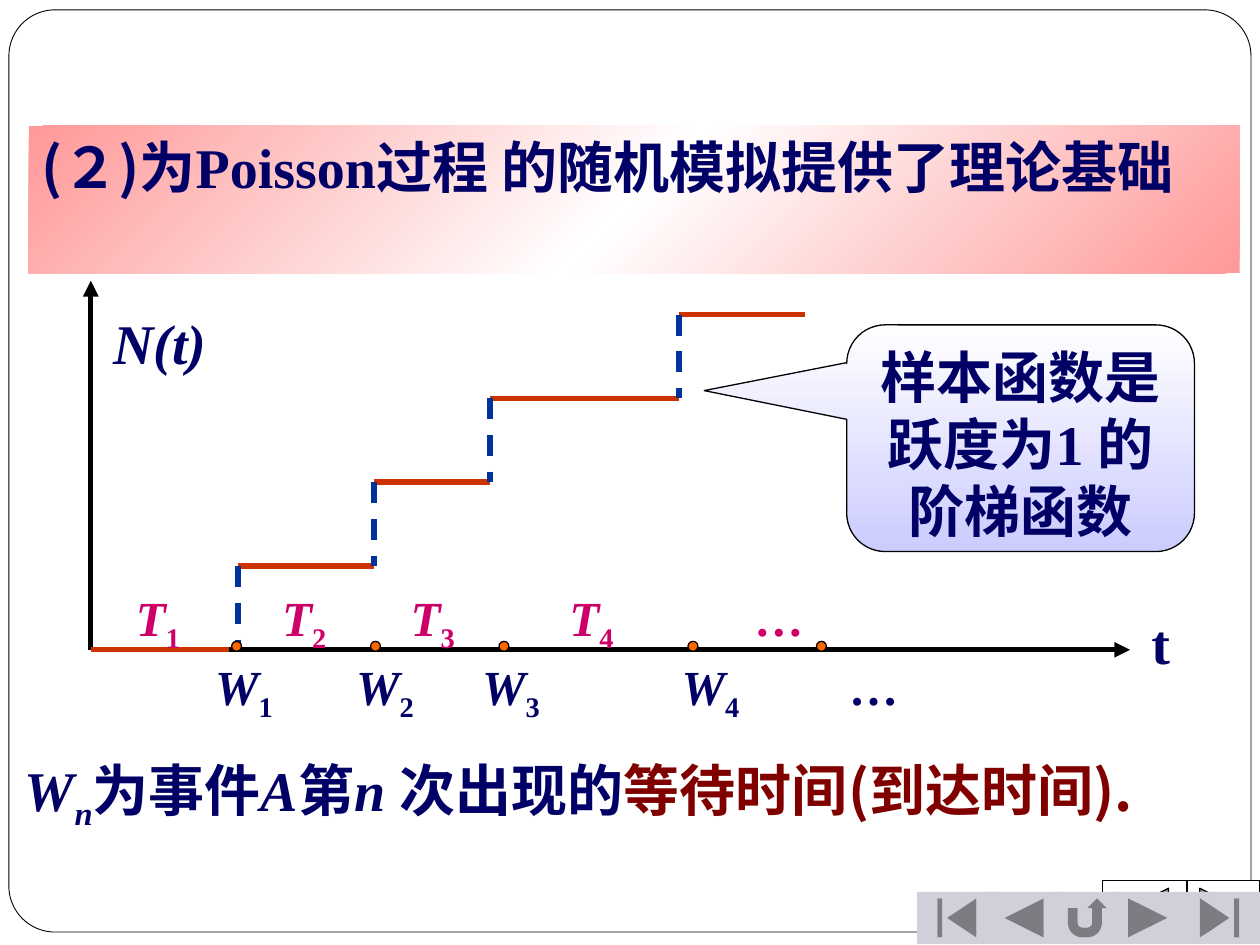
from lxml import etree
from pptx import Presentation
from pptx.dml.color import RGBColor
from pptx.enum.dml import MSO_LINE
from pptx.enum.shapes import MSO_CONNECTOR, MSO_SHAPE
from pptx.enum.text import MSO_AUTO_SIZE, PP_ALIGN
from pptx.oxml.ns import qn
from pptx.util import Cm, Pt

STRAIGHT = MSO_CONNECTOR.STRAIGHT
DASH = MSO_LINE.DASH
CENTER = PP_ALIGN.CENTER
RECTANGLE = MSO_SHAPE.RECTANGLE
ROUNDED = MSO_SHAPE.ROUNDED_RECTANGLE
CALLOUT = MSO_SHAPE.ROUNDED_RECTANGULAR_CALLOUT
OVAL = MSO_SHAPE.OVAL
FIRST = MSO_SHAPE.ACTION_BUTTON_BEGINNING
PREVIOUS = MSO_SHAPE.ACTION_BUTTON_BACK_OR_PREVIOUS
RETURN = MSO_SHAPE.ACTION_BUTTON_RETURN
NEXT = MSO_SHAPE.ACTION_BUTTON_FORWARD_OR_NEXT
LAST = MSO_SHAPE.ACTION_BUTTON_END

SERIF, SANS = "Times New Roman", "Noto Sans CJK SC"
NAVY, PINK, MAROON = "000066", "CC0066", "800000"
BLACK, WHITE, ORANGE, BLUE = "000000", "FFFFFF", "CC3300", "003399"

ITALIC = {"italic": True}
SUB = {"sub": True}
CJK = {"font": SANS}

TITLE = [("(２)为", CJK), ("Poisson过程 的随机模拟提供了理论基础", {})]
REMARK = [("样本函数是跃度为1 的阶梯函数", {})]
DEFINITION = [
    ("W", ITALIC), ("n", {"italic": True, "sub": True}), ("为事件", CJK),
    ("A", ITALIC), ("第", CJK), ("n ", ITALIC), ("次出现的", CJK),
    ("等待时间(到达时间).", {"font": SANS, "color": MAROON}),
]

ORIGIN_X, ORIGIN_Y = 1.83, 13.1
AXIS_RIGHT, AXIS_TOP = 22.78, 5.66
STEP_RISE = 1.69
JUMPS = [4.8, 7.54, 9.88, 13.69, 16.23]
DOTS = [4.67, 7.47, 10.06, 13.87, 16.46]
DOT_TOP, DOT_SIZE = 12.93, 0.2
LABEL_ROWS = [
    ("W", NAVY, 13.1, 1.68, [4.09, 6.93, 9.47, 13.49, 16.87]),
    ("T", PINK, 11.71, 1.4, [2.49, 5.44, 8.03, 11.23, 14.96]),
]
CORNER_BUTTONS = [(NEXT, 23.93, 1.47), (PREVIOUS, 22.23, 1.7)]
NAVIGATION = [(FIRST, 18.49, 1.6), (PREVIOUS, 19.91, 1.47), (RETURN, 21.23, 1.38),
              (NEXT, 22.5, 1.27), (LAST, 23.77, 1.63)]


def color(value):
    return RGBColor.from_string(value)


def add_shape(kind, left, top, width, height, fill=None, line=None, weight=0.75):
    shape = page.shapes.add_shape(kind, Cm(left), Cm(top), Cm(width), Cm(height))
    shape.shadow.inherit = False
    if fill:
        shape.fill.solid()
        shape.fill.fore_color.rgb = color(fill)
    if line:
        shape.line.color.rgb = color(line)
        shape.line.width = Pt(weight)
    else:
        shape.line.fill.background()
    return shape


def set_gradient(shape, stops, angle):
    shape.fill.gradient()
    gradient = shape._element.spPr.find(qn("a:gradFill"))
    stop_list = gradient.find(qn("a:gsLst"))
    for stop in list(stop_list):
        stop_list.remove(stop)
    for position, value in stops:
        stop = etree.SubElement(stop_list, qn("a:gs"), pos=str(position * 1000))
        etree.SubElement(stop, qn("a:srgbClr"), val=value)
    gradient.find(qn("a:lin")).set("ang", str(angle * 60000))


def add_line(x1, y1, x2, y2, value, dash=None, arrow=False):
    line = page.shapes.add_connector(STRAIGHT, Cm(x1), Cm(y1), Cm(x2), Cm(y2))
    line.line.color.rgb = color(value)
    line.line.width = Pt(3)
    if dash:
        line.line.dash_style = dash
    if arrow:
        etree.SubElement(line.line._get_or_add_ln(), qn("a:tailEnd"), type="triangle")
    etree.SubElement(line._element.spPr, qn("a:effectLst"))


def write(box, spans, size=32, value=NAVY, align=None, wrap=True):
    frame = box.text_frame
    frame.word_wrap = wrap
    frame.vertical_anchor = None
    para = frame.paragraphs[0]
    para.alignment = align
    para.font.size = Pt(size)
    para.font.bold = True
    for text, style in spans:
        span = para.add_run()
        span.text = text
        font = span.font
        font.name = style.get("font", SERIF)
        font.color.rgb = color(style.get("color", value))
        if style.get("italic"):
            font.italic = True
        properties = span._r.get_or_add_rPr()
        if style.get("sub"):
            properties.set("baseline", "-25000")
        etree.SubElement(properties, qn("a:ea"), typeface=SANS)


def add_label(left, top, width, height, spans, size=32, value=NAVY):
    box = page.shapes.add_textbox(Cm(left), Cm(top), Cm(width), Cm(height))
    write(box, spans, size, value, wrap=False)
    box.text_frame.auto_size = MSO_AUTO_SIZE.SHAPE_TO_FIT_TEXT


deck = Presentation()
deck.slide_width, deck.slide_height = Cm(25.4), Cm(19.05)
page = deck.slides.add_slide(deck.slide_layouts[6])

border = add_shape(ROUNDED, 0.18, 0.2, 25.04, 18.59, WHITE, BLACK, 0.5)
border.adjustments[0] = 0.05
for kind, left, width in CORNER_BUTTONS:
    add_shape(kind, left, 17.75, width, 1.27, WHITE, BLACK)

banner = add_shape(RECTANGLE, 0.58, 2.54, 24.41, 2.97)
set_gradient(banner, [(0, "FF9999"), (50, WHITE), (100, "FF9999")], 45)
write(banner, TITLE, align=PP_ALIGN.LEFT)

add_line(ORIGIN_X, ORIGIN_Y, AXIS_RIGHT, ORIGIN_Y, BLACK, arrow=True)
add_line(ORIGIN_X, ORIGIN_Y, ORIGIN_X, AXIS_TOP, BLACK, arrow=True)
levels = [ORIGIN_Y - STEP_RISE * count for count in range(len(JUMPS))]
for start, end, low, high in zip(JUMPS, JUMPS[1:], levels, levels[1:]):
    add_line(start, high, end, high, ORANGE)
    add_line(start, high, start, low, BLUE, DASH)
add_line(ORIGIN_X, ORIGIN_Y, 4.62, ORIGIN_Y, ORANGE)

add_label(22.96, 12.14, 0.89, 1.63, [("t", {})])
add_label(2.03, 6.1, 2.39, 1.63, [("N(t)", ITALIC)])

remark = add_shape(CALLOUT, 17.07, 6.55, 7.01, 4.57, line=BLACK)
for index, adjustment in enumerate([-0.91, -0.21, 0.17]):
    remark.adjustments[index] = adjustment
set_gradient(remark, [(0, WHITE), (100, "CCCCFF")], 90)
write(remark, REMARK, align=CENTER)

for left in DOTS:
    add_shape(OVAL, left, DOT_TOP, DOT_SIZE, DOT_SIZE, "FF6600", BLACK)
for letter, value, top, width, lefts in LABEL_ROWS:
    for number, left in enumerate(lefts[:-1], 1):
        add_label(left, top, width, 1.6, [(letter, ITALIC), (str(number), SUB)], 28, value)
    add_label(lefts[-1], top, 1.5, 1.45, [("…", {})], 28, value)

add_label(0.25, 15.11, 25.82, 1.8, DEFINITION)
for kind, left, width in NAVIGATION:
    add_shape(kind, left, 17.98, width, 1.05, "D0D0DA")

deck.save("out.pptx")
